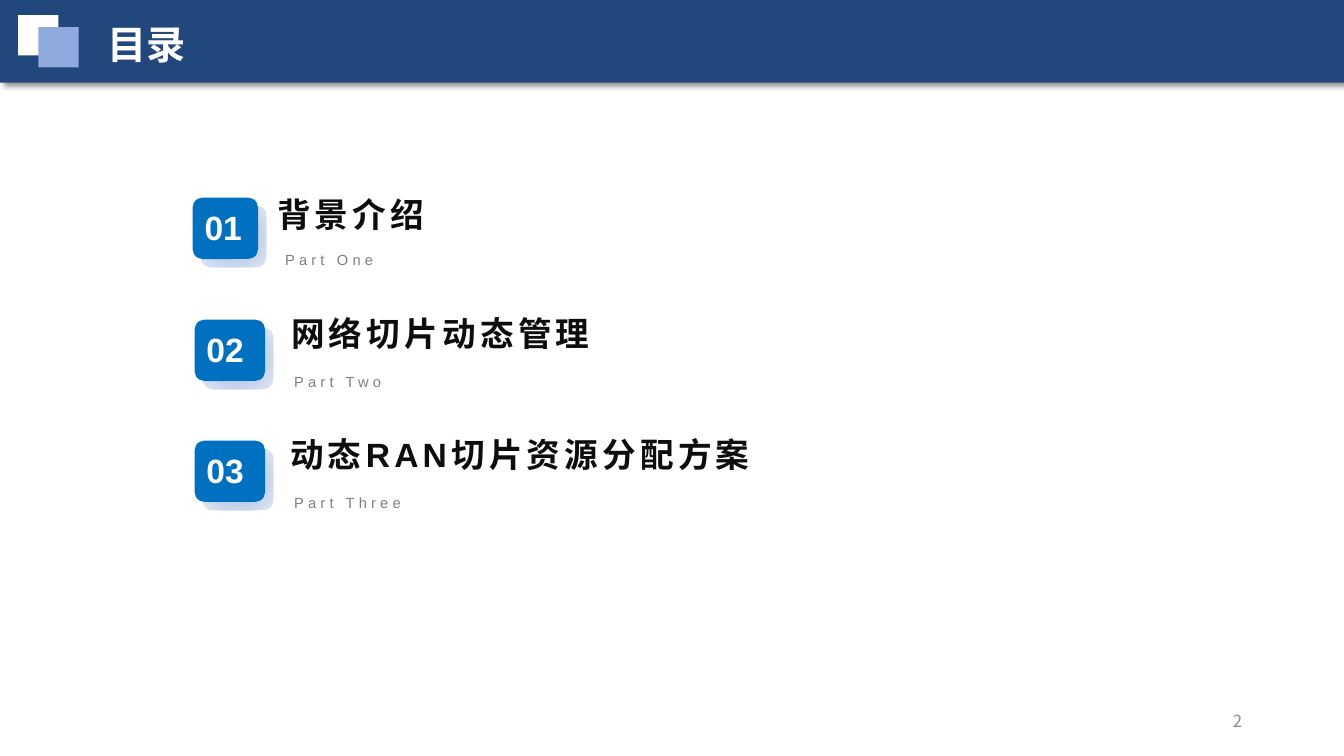
from dataclasses import dataclass

from lxml.etree import SubElement
from pptx import Presentation
from pptx.dml.color import RGBColor
from pptx.enum.shapes import MSO_SHAPE
from pptx.enum.text import MSO_ANCHOR, MSO_AUTO_SIZE, PP_ALIGN
from pptx.oxml import parse_xml
from pptx.oxml.ns import nsdecls, qn
from pptx.shapes.autoshape import Shape
from pptx.shapes.shapetree import GroupShapes, SlideShapes
from pptx.util import Emu, Pt

PX = 9144  # 100 px to the inch
Canvas = SlideShapes | GroupShapes


@dataclass(frozen=True)
class Theme:
    banner: str = "22477D"
    white: str = "FFFFFF"
    light_blue: str = "8FAADC"
    badge: str = "0070C0"
    grey: str = "808080"
    page_grey: str = "8C8C8C"
    heading_gradient: tuple[str, str] = ("0D0D0D", "595959")
    glow: tuple[str, str, str] = ("94B1E1", "BFCEEA", "E0E7F4")
    chinese: str = "Noto Sans CJK SC"
    latin: str = "Arial"
    title_size: float = 28
    heading_size: float = 24
    caption_size: float = 10.5
    page_size: float = 12


THEME = Theme()


@dataclass(frozen=True)
class Area:
    left: int
    top: int
    width: int
    height: int

    def emu(self) -> tuple[Emu, ...]:
        return tuple(Emu(n * PX) for n in (self.left, self.top, self.width, self.height))


@dataclass(frozen=True)
class Style:
    size: float
    color: str | tuple[str, str]
    face: str = THEME.latin
    bold: bool = False
    spacing: int = 0


TITLE = Style(THEME.title_size, THEME.white, THEME.chinese, bold=True)
NUMBER = Style(THEME.heading_size, THEME.white, bold=True)
HEADING = Style(THEME.heading_size, THEME.heading_gradient, bold=True, spacing=3)
CAPTION = Style(THEME.caption_size, THEME.grey, spacing=3)
PAGE_NUMBER = Style(THEME.page_size, THEME.page_grey, THEME.chinese)


@dataclass(frozen=True)
class Section:
    number: str
    heading: str
    caption: str
    badge: Area
    heading_area: Area
    caption_area: Area


SECTIONS = (
    Section("01", "背景介绍", "Part One", Area(191, 196, 65, 61),
            Area(265, 187, 371, 50), Area(273, 244, 329, 28)),
    Section("02", "网络切片动态管理", "Part Two", Area(193, 317, 70, 61),
            Area(279, 306, 583, 50), Area(282, 365, 354, 28)),
    Section("03", "动态RAN切片资源分配方案", "Part Three", Area(193, 437, 70, 61),
            Area(278, 426, 941, 50), Area(282, 485, 353, 28)),
)


def add_block(canvas: Canvas, area: Area, color: str,
              kind: MSO_SHAPE = MSO_SHAPE.RECTANGLE) -> Shape:
    block = canvas.add_shape(kind, *area.emu())
    block.shadow.inherit = False
    block.fill.solid()
    block.fill.fore_color.rgb = RGBColor.from_string(color)
    block.line.fill.background()
    if kind == MSO_SHAPE.ROUNDED_RECTANGLE:
        block.adjustments[0] = 0.164
    return block


def add_text(canvas: Canvas, area: Area, text: str, style: Style,
             wrap: bool = True, grow: bool = True) -> Shape:
    box = canvas.add_textbox(*area.emu())
    frame = box.text_frame
    frame.word_wrap = wrap
    frame.auto_size = MSO_AUTO_SIZE.SHAPE_TO_FIT_TEXT if grow else MSO_AUTO_SIZE.NONE
    para = frame.paragraphs[0]
    para.add_run().text = text
    font = para.font
    font.size = Pt(style.size)
    font.bold = style.bold
    if isinstance(style.color, tuple):
        font.fill.gradient()
        font.fill.gradient_angle = 270
        for stop, color in zip(font.fill.gradient_stops, style.color):
            stop.color.rgb = RGBColor.from_string(color)
    else:
        font.color.rgb = RGBColor.from_string(style.color)
    font.name = style.face
    properties = para._p.pPr.find(qn("a:defRPr"))
    properties.set("spc", str(style.spacing * 100))
    SubElement(properties, qn("a:ea")).set("typeface", THEME.chinese)
    return box


def add_drop_shadow(block: Shape) -> None:
    block._element.spPr.find(qn("a:effectLst")).append(parse_xml(
        f'<a:outerShdw {nsdecls("a")} blurRad="{Pt(4)}" dist="{Pt(3)}" dir="2700000" '
        'algn="tl" rotWithShape="0"><a:srgbClr val="000000"><a:alpha val="40000"/>'
        '</a:srgbClr></a:outerShdw>'))


def fill_radially(block: Shape, colors: tuple[str, ...]) -> None:
    """Replace the solid fill by evenly spaced stops around the centre."""
    step = 100000 // (len(colors) - 1)
    stops = "".join(f'<a:gs pos="{index * step}"><a:srgbClr val="{color}"/></a:gs>'
                    for index, color in enumerate(colors))
    properties = block._element.spPr
    properties.replace(properties.find(qn("a:solidFill")), parse_xml(
        f'<a:gradFill {nsdecls("a")} rotWithShape="1"><a:gsLst>{stops}</a:gsLst>'
        '<a:path path="circle"><a:fillToRect l="50000" t="50000" r="50000" b="50000"/>'
        '</a:path></a:gradFill>'))


def add_section(canvas: SlideShapes, section: Section) -> None:
    group = canvas.add_group_shape().shapes
    badge = section.badge
    add_text(group, section.caption_area, section.caption, CAPTION)
    glow_area = Area(badge.left + 8, badge.top + 8, badge.width, badge.height)
    glow = add_block(group, glow_area, THEME.white, MSO_SHAPE.ROUNDED_RECTANGLE)
    fill_radially(glow, THEME.glow)
    add_block(group, badge, THEME.badge, MSO_SHAPE.ROUNDED_RECTANGLE)
    number_area = Area(badge.left + 2, badge.top + 4, badge.width - 4, 50)
    add_text(group, number_area, section.number, NUMBER, wrap=False)
    add_text(group, section.heading_area, section.heading, HEADING)


def main() -> None:
    deck = Presentation()
    deck.slide_width, deck.slide_height = Emu(1333 * PX), Emu(750 * PX)
    shapes = deck.slides.add_slide(deck.slide_layouts[6]).shapes

    add_drop_shadow(add_block(shapes, Area(0, 0, 1333, 82), THEME.banner))
    add_block(shapes, Area(18, 15, 40, 40), THEME.white)
    add_block(shapes, Area(38, 27, 40, 40), THEME.light_blue)
    add_text(shapes, Area(97, 15, 439, 57), "目录", TITLE)

    page_number = add_text(shapes, Area(942, 695, 300, 40), "2", PAGE_NUMBER, grow=False)
    page_number.text_frame.vertical_anchor = MSO_ANCHOR.MIDDLE
    page_number.text_frame.paragraphs[0].alignment = PP_ALIGN.RIGHT

    for section in SECTIONS:
        add_section(shapes, section)
    deck.save("out.pptx")


if __name__ == "__main__":
    main()
